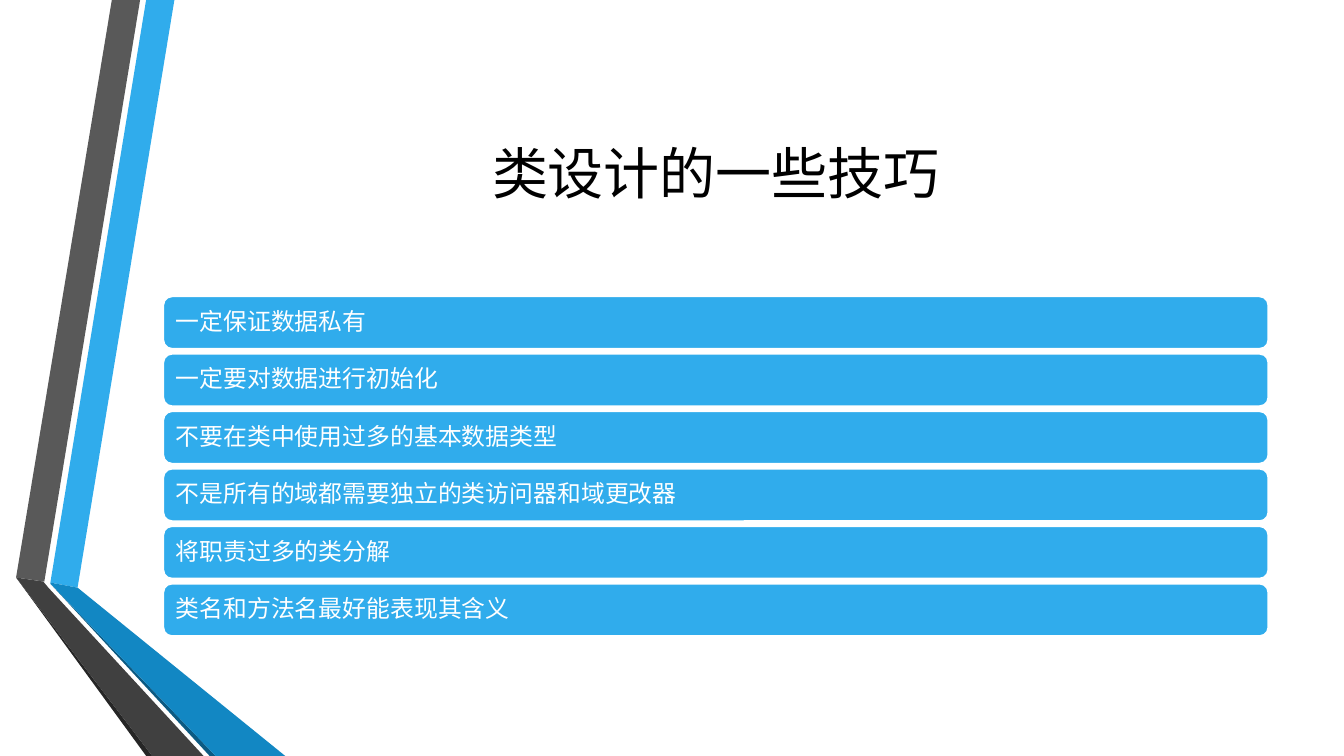
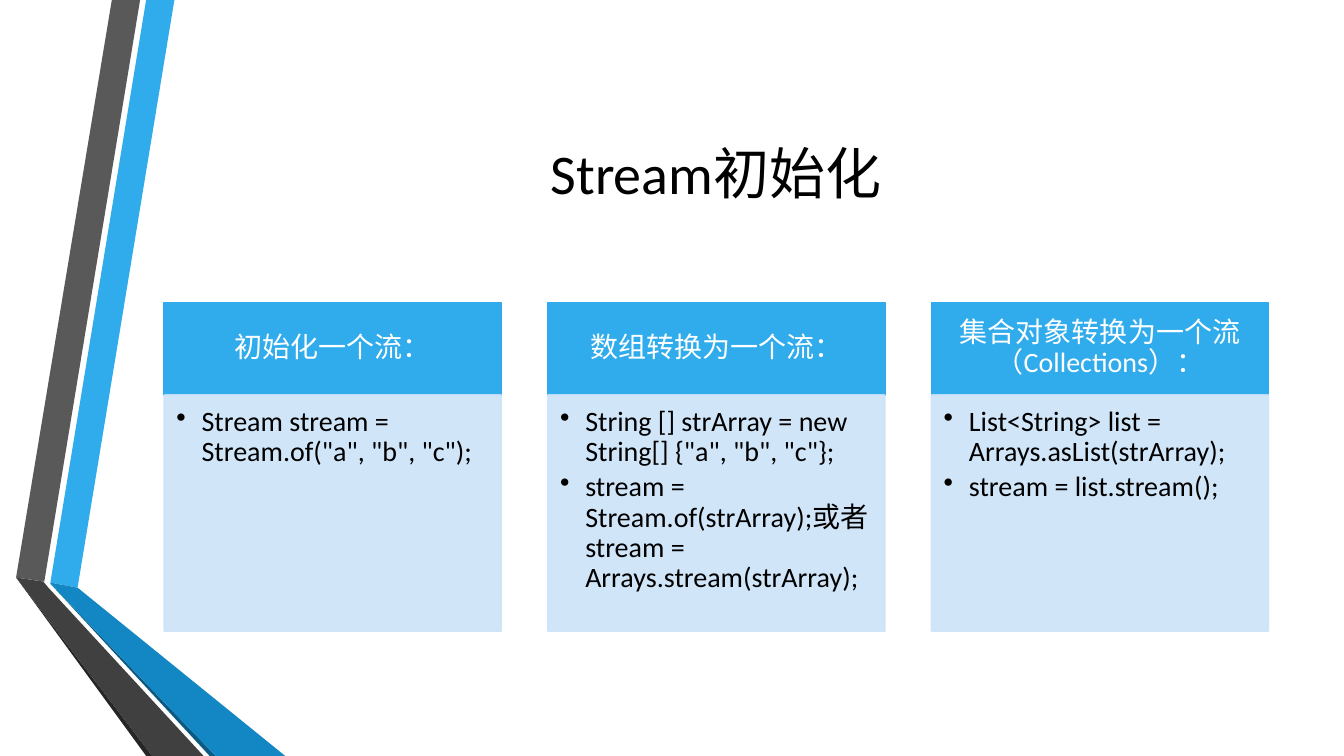
from lxml.etree import SubElement
from pptx import Presentation
from pptx.dml.color import RGBColor
from pptx.enum.shapes import MSO_SHAPE as Preset
from pptx.enum.text import MSO_ANCHOR as Anchor, PP_ALIGN as Align
from pptx.oxml.ns import qn
from pptx.util import Emu, Pt

PX = 9144  # EMU per px, 100 px to the inch
FONT = "Calibri"
BLUE, PALE, WHITE, BLACK = "30ACEC", "CDE3F8", "FFFFFF", "000000"

SLIDE_SIZE = (1333, 750)
TITLE_BOX = (162, 75, 1096, 192)
RIBBONS = [
    (BLUE, [(50, 578), (77, 583), (173, 0), (145, 0)]),
    ("595959", [(139, 0), (111, 0), (16, 573), (44, 577)]),
    ("262626", [(16, 573), (145, 750), (151, 750)]),
    ("0C5A82", [(50, 579), (208, 750), (214, 750)]),
    ("1287C3", [(50, 579), (214, 750), (283, 750), (77, 583), (50, 578)]),
    ("404040", [(202, 750), (48, 583), (43, 577), (16, 573), (151, 750)]),
]

TIPS_TITLE = "类设计的一些技巧"
TIPS = [
    "一定保证数据私有",
    "一定要对数据进行初始化",
    "不要在类中使用过多的基本数据类型",
    "不是所有的域都需要独立的类访问器和域更改器",
    "将职责过多的类分解",
    "类名和方法名最好能表现其含义",
]
TIP_LEFT, TIP_TOP, TIP_WIDTH, TIP_HEIGHT, TIP_GAP = 162, 294, 1096, 52, 5

STREAM_TITLE = "Stream初始化"
STREAM_COLUMNS = [
    ("初始化一个流：", ['Stream stream = Stream.of("a", "b", "c");']),
    ("数组转换为一个流：", [
        'String [] strArray = new String[] {"a", "b", "c"};',
        "stream = Stream.of(strArray);或者 stream = Arrays.stream(strArray);",
    ]),
    ("集合对象转换为一个流（Collections）：", [
        "List<String> list = Arrays.asList(strArray);",
        "stream = list.stream();",
    ]),
]
COLUMN_LEFT, COLUMN_RIGHT, COLUMN_WIDTH = 163, 1258, 334
HEADER_TOP, HEADER_HEIGHT, BODY_HEIGHT = 300, 92, 234


def px(length):
    return Emu(round(length * PX))


def color(hex_string):
    return RGBColor.from_string(hex_string)


def place(shape, left, top, width, height):
    shape.left, shape.top = px(left), px(top)
    shape.width, shape.height = px(width), px(height)


def set_text(shape, texts, size, text_color, align=Align.LEFT,
             anchor=Anchor.MIDDLE, insets=(10, 5, 10, 5), line_spacing=None,
             space_after=0, bullet_indent=0):
    """Write one paragraph per text; insets run left, top, right, bottom."""
    frame = shape.text_frame
    frame.word_wrap = True
    frame.vertical_anchor = anchor
    (frame.margin_left, frame.margin_top,
     frame.margin_right, frame.margin_bottom) = map(px, insets)
    for index, text in enumerate(texts):
        paragraph = frame.add_paragraph() if index else frame.paragraphs[0]
        paragraph.alignment = align
        paragraph.line_spacing = line_spacing
        paragraph.space_after = Pt(space_after)
        run = paragraph.add_run()
        run.text = text
        run.font.name = FONT
        run.font.size = Pt(size)
        run.font.color.rgb = color(text_color)
        if bullet_indent:
            properties = paragraph._p.get_or_add_pPr()
            properties.set("marL", str(px(bullet_indent)))
            properties.set("indent", str(-px(bullet_indent)))
            SubElement(properties, qn("a:buChar"), char="•")


def add_box(slide, preset, box, fill, line, opacity=100):
    shape = slide.shapes.add_shape(preset, *map(px, box))
    shape.shadow.inherit = False
    shape.fill.solid()
    shape.fill.fore_color.rgb = color(fill)
    shape.line.color.rgb = color(line)
    shape.line.width = Pt(1.25)
    if opacity < 100:
        for node in shape.element.spPr.iter(qn("a:srgbClr")):
            SubElement(node, qn("a:alpha"), val=str(opacity * 1000))
    return shape


def move_ribbons_to_layout(slide, layout):
    """Draw the ribbons, which only a slide can build, and hand them to the layout."""
    for index, (fill, points) in enumerate(RIBBONS):
        builder = slide.shapes.build_freeform(*points[0], scale=PX)
        builder.add_line_segments(points[1:], close=True)
        ribbon = builder.convert_to_shape()
        ribbon.shadow.inherit = False
        ribbon.fill.solid()
        ribbon.fill.fore_color.rgb = color(fill)
        ribbon.line.fill.background()
        ribbon.element.nvSpPr.cNvPr.set("id", str(20 + index))
        layout.shapes.element.insert(2 + index, ribbon.element)


def add_titled_slide(presentation, layout, title):
    slide = presentation.slides.add_slide(layout)
    place(slide.shapes.title, *TITLE_BOX)
    set_text(slide.shapes.title, [title], 40, BLACK, align=Align.CENTER)
    return slide


def add_tips(slide):
    for index, tip in enumerate(TIPS):
        top = TIP_TOP + index * (TIP_HEIGHT + TIP_GAP)
        bar = add_box(slide, Preset.ROUNDED_RECTANGLE,
                      (TIP_LEFT, top, TIP_WIDTH, TIP_HEIGHT), BLUE, WHITE)
        set_text(bar, [tip], 17, WHITE, line_spacing=0.9)


def add_stream_columns(slide):
    step = (COLUMN_RIGHT - COLUMN_LEFT - COLUMN_WIDTH) / (len(STREAM_COLUMNS) - 1)
    for index, (heading, code_lines) in enumerate(STREAM_COLUMNS):
        left = COLUMN_LEFT + index * step
        header = add_box(slide, Preset.RECTANGLE,
                         (left, HEADER_TOP, COLUMN_WIDTH, HEADER_HEIGHT), BLUE, BLUE)
        set_text(header, [heading], 20, WHITE, align=Align.CENTER,
                 insets=(16, 9, 16, 9), line_spacing=0.9)
        body = add_box(slide, Preset.RECTANGLE,
                       (left, HEADER_TOP + HEADER_HEIGHT, COLUMN_WIDTH, BODY_HEIGHT),
                       PALE, PALE, opacity=90)
        set_text(body, code_lines, 20, BLACK, anchor=Anchor.TOP,
                 insets=(12, 12, 16, 17), line_spacing=0.9,
                 space_after=3.5, bullet_indent=25)


def main():
    presentation = Presentation()
    presentation.slide_width, presentation.slide_height = map(px, SLIDE_SIZE)
    layout = presentation.slide_layouts.get_by_name("Title Only")
    tips_slide = add_titled_slide(presentation, layout, TIPS_TITLE)
    move_ribbons_to_layout(tips_slide, layout)
    add_tips(tips_slide)
    add_stream_columns(add_titled_slide(presentation, layout, STREAM_TITLE))
    presentation.save("out.pptx")


if __name__ == "__main__":
    main()
